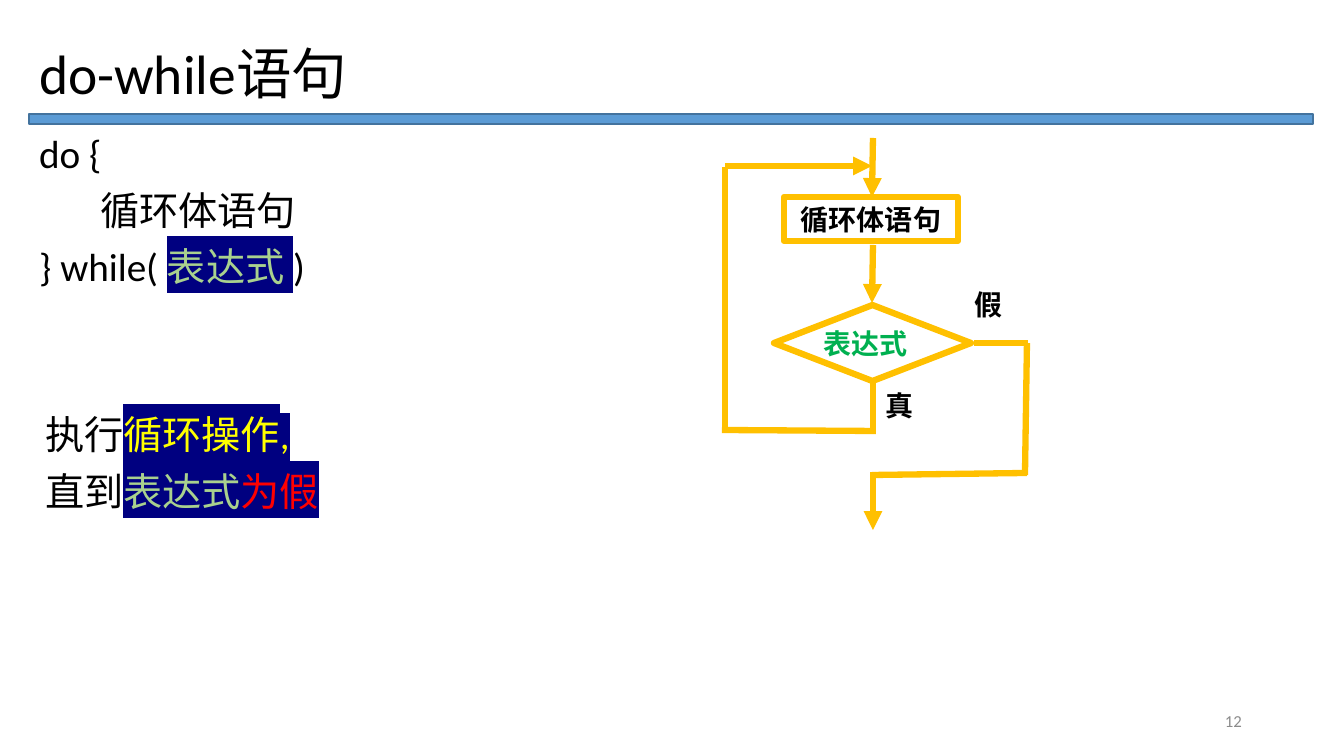
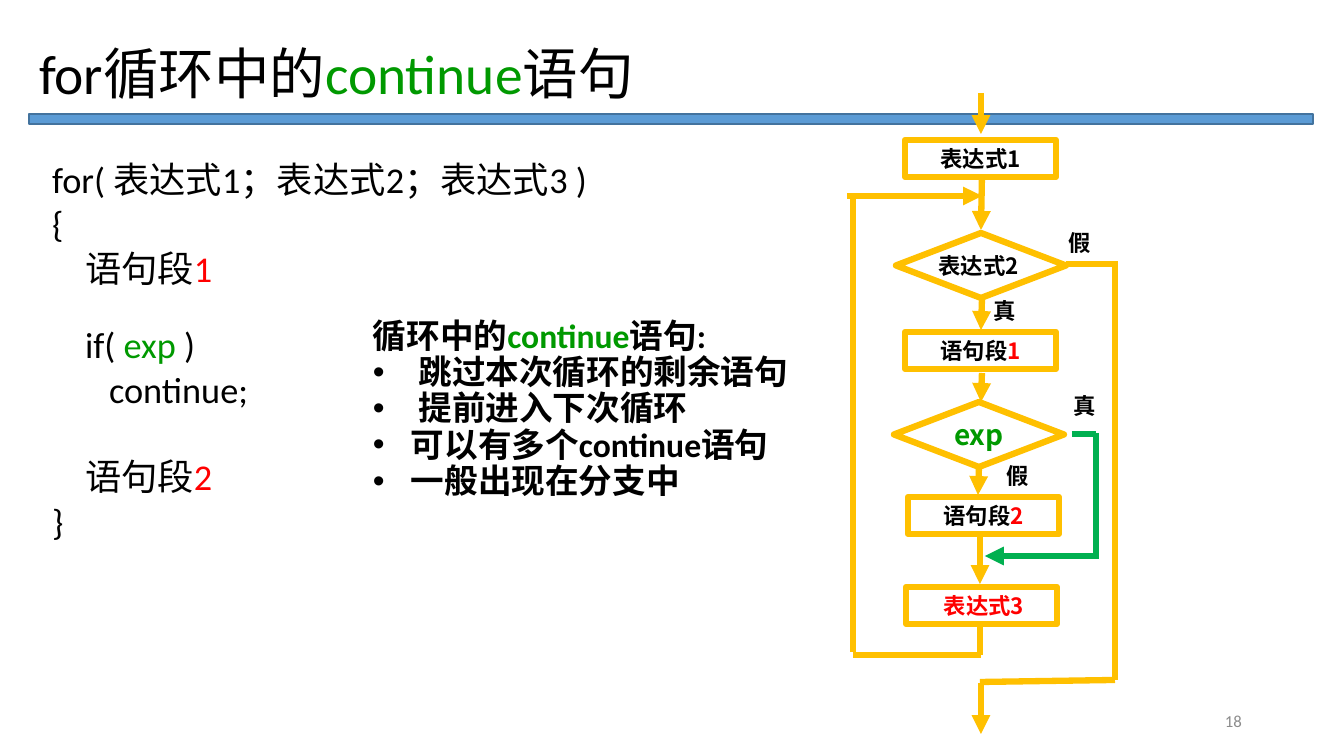
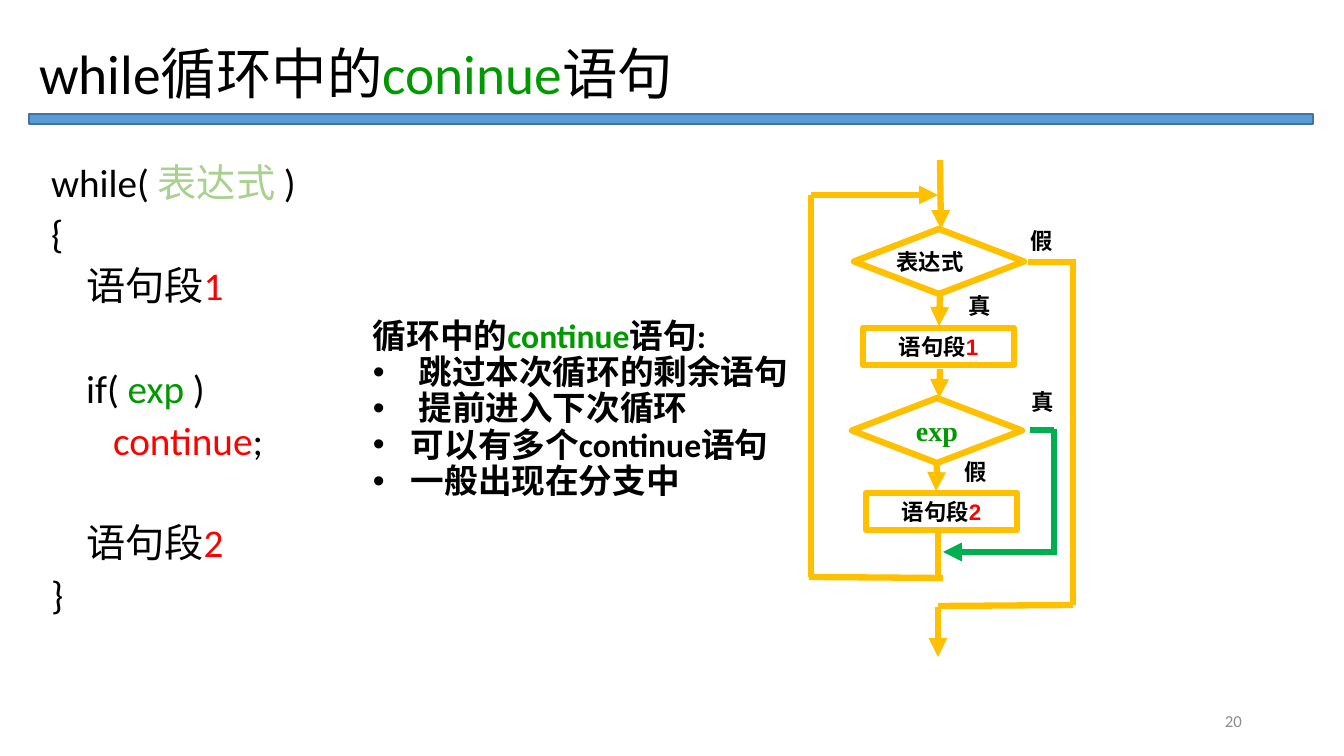
from lxml import etree
from pptx import Presentation
from pptx import util as u
from pptx.dml.color import RGBColor
from pptx.enum import shapes, text
from pptx.oxml.ns import qn

BLACK = RGBColor(0x00, 0x00, 0x00)
RED = RGBColor(0xFF, 0x00, 0x00)
YELLOW = RGBColor(0xFF, 0xFF, 0x00)
GREEN = RGBColor(0x00, 0x99, 0x00)
JADE = RGBColor(0x00, 0xB0, 0x50)
PALE = RGBColor(0xA9, 0xD1, 0x8E)
GOLD = RGBColor(0xFF, 0xC0, 0x00)
GREY = RGBColor(0x8C, 0x8C, 0x8C)
BAND = RGBColor(0x5B, 0x9B, 0xD5)
BAND_EDGE = RGBColor(0x43, 0x73, 0x9E)
NAVY = "000080"

LATIN, CJK, SERIF, SANS = "Calibri", "Noto Sans CJK SC", "Times New Roman", "Arial"
EMU_PER_PX = 914400 / 100.8
LEFT, CENTER, RIGHT = text.PP_ALIGN.LEFT, text.PP_ALIGN.CENTER, text.PP_ALIGN.RIGHT
MIDDLE, TOP = text.MSO_ANCHOR.MIDDLE, text.MSO_ANCHOR.TOP
RECT, DIAMOND = shapes.MSO_SHAPE.RECTANGLE, shapes.MSO_SHAPE.DIAMOND

TITLE_BOX = (29, 40, 1284, 74)
BAND_BOX = (29, 114, 1284, 10)
NUMBER_BOX = (950, 701, 302, 40)
NOTE_BOX = (363, 373, 490, 74)
BULLET_INDENT = 38

NOTE = [
    ["循环中的", ("continue", GREEN), "语句:"],
    [" 跳过本次循环的剩余语句"],
    [" 提前进入下次循环"],
    ["可以有多个continue语句"],
    ["一般出现在分支中"],
]

SEGMENT_1 = ["语句段", ("1", RED)]
SEGMENT_2 = ["语句段", ("2", RED)]
CONDITION = ["if( ", ("exp ", GREEN), ")"]

SLIDES = [
    {
        "number": "12",
        "title": ["do-while语句"],
        "body": {"box": (29, 130, 1284, 550), "size": 28, "spacing": 0.9},
        "lines": [
            (["do {"], 0, 10),
            (["循环体语句"], 61, 10),
            (["} while( ", ("表达式", PALE, NAVY), (" ", RED, NAVY), ")"], 0, 10),
            (["执行", ("循环操作,", YELLOW, NAVY)], 6, 90),
            (["直到", ("表达式", PALE, NAVY), ("为假", RED, NAVY)], 6, 10),
        ],
        "fonts": (SERIF, SERIF), "flow_size": 20,
        "boxes": [((784, 197, 174, 44), ["循环体语句"])],
        "diamonds": [((774, 305, 197, 76), [("表达式", JADE)])],
        "labels": [("真", 876, 384, 54, 43), ("假", 965, 283, 47, 43)],
        "lines_out": [
            (722, 430, 876, 431), (974, 343, 1028, 343), (1027, 343, 1025, 475),
            (872, 475, 1027, 473), (725, 167, 725, 431), (873, 379, 873, 431),
        ],
        "arrows": [
            (873, 138, 872, 197), (725, 166, 872, 166),
            (873, 472, 873, 530), (873, 245, 872, 303),
        ],
    },
    {
        "number": "18",
        "title": ["for循环中的", ("continue", GREEN), "语句"],
        "body": {"box": (42, 164, 907, 407), "size": 25.9, "spacing": 0.7},
        "lines": [
            (["for( 表达式1；表达式2；表达式3 )"], 0, 10),
            (["{"], 0, 10),
            (SEGMENT_1, 33, 10),
            (CONDITION, 33, 32.6),
            (["continue;"], 57, 10),
            (SEGMENT_2, 33, 41),
            (["}"], 0, 10),
        ],
        "fonts": (CJK, CJK), "flow_size": 16,
        "branch": (0, 0, "表达式2"),
        "boxes": [((905, 140, 151, 37), ["表达式1"]),
                  ((906, 587, 151, 37), [(" 表达式3", RED)])],
        "diamonds": [],
        "labels": [("真", 984, 292, 47, 37), ("假", 1059, 224, 41, 37)],
        "lines_out": [
            (853, 655, 981, 655), (1066, 264, 1113, 264), (980, 625, 980, 655),
            (1115, 261, 1115, 680), (980, 682, 1115, 680), (853, 196, 853, 652),
        ],
        "arrows": [
            (982, 177, 981, 230), (847, 196, 982, 196), (980, 533, 980, 584),
            (981, 93, 981, 134), (981, 683, 981, 734),
        ],
    },
    {
        "number": "20",
        "title": ["while循环中的", ("coninue", GREEN), "语句"],
        "body": {"box": (41, 162, 907, 495), "size": 28, "spacing": 0.8},
        "lines": [
            (["while( ", ("表达式 ", PALE), ")"], 0, 10),
            (["{"], 0, 10),
            (SEGMENT_1, 35, 10),
            (CONDITION, 35, 46.6),
            ([("continue", RED), ";"], 62, 10),
            (SEGMENT_2, 35, 46.6),
            (["}"], 0, 10),
        ],
        "fonts": (SANS, SERIF), "flow_size": 16,
        "branch": (-42, -4, "表达式"),
        "boxes": [],
        "diamonds": [],
        "labels": [("真", 959, 287, 47, 37), ("假", 1021, 222, 41, 37)],
        "lines_out": [
            (809, 577, 943, 578), (1028, 262, 1076, 262), (938, 530, 938, 579),
            (1073, 262, 1073, 605), (938, 606, 1073, 605), (811, 195, 811, 577),
        ],
        "arrows": [
            (811, 195, 938, 195), (940, 160, 941, 229), (938, 607, 938, 657),
        ],
    },
]

BRANCH_BOXES = [((905, 332, 151, 37), SEGMENT_1), ((908, 497, 151, 37), SEGMENT_2)]
BRANCH_TEST = (896, 233, 170, 65)
BRANCH_EXP = (894, 402, 170, 65)
BRANCH_LABELS = [("真", 1064, 387, 47, 37), ("假", 997, 457, 41, 37)]
BRANCH_ARROWS = [(982, 300, 981, 330), (982, 373, 981, 402), (979, 467, 978, 495)]
SKIP_LINES = [(1096, 433, 1096, 559), (1072, 434, 1096, 434)]
SKIP_ARROW = (1096, 556, 985, 556)


def px(n):
    return u.Emu(round(n * EMU_PER_PX))


def place(sp, box):
    sp.left, sp.top, sp.width, sp.height = map(px, box)


def write(p, runs, size, font=LATIN, bold=False, align=LEFT, spacing=None):
    p.alignment = align
    if spacing:
        p.line_spacing = spacing
    for run in runs:
        words, color, mark = ((run,) if isinstance(run, str) else run) + (None,) * 2 \
            if isinstance(run, str) else (run + (None,))[:3]
        r = p.add_run()
        r.text = words
        r.font.size, r.font.bold, r.font.name = u.Pt(size), bold, font
        r.font.color.rgb = color or BLACK
        rPr = r.font.color and r._r.get_or_add_rPr()
        if mark:
            highlight = etree.Element(qn("a:highlight"))
            etree.SubElement(highlight, qn("a:srgbClr"), val=mark)
            rPr.find(qn("a:solidFill")).addnext(highlight)
        ea = etree.Element(qn("a:ea"), typeface=CJK)
        rPr.find(qn("a:latin")).addnext(ea)


def indent(p, left, first=0, bullet=None):
    pPr = p._p.get_or_add_pPr()
    pPr.set("marL", str(px(left)))
    pPr.set("indent", str(px(first)))
    if bullet:
        etree.SubElement(pPr, qn("a:buFont"), typeface="Arial")
        etree.SubElement(pPr, qn("a:buChar"), char=bullet)
    else:
        etree.SubElement(pPr, qn("a:buNone"))


def frame(sp, anchor=MIDDLE, wrap=True):
    tf = sp.text_frame
    tf.auto_size = text.MSO_AUTO_SIZE.NONE
    tf.word_wrap, tf.vertical_anchor = wrap, anchor
    return tf


def add_text(s, box, runs, size, font=LATIN, bold=False, color_align=LEFT):
    tf = frame(s.shapes.add_textbox(*map(px, box)))
    write(tf.paragraphs[0], runs, size, font, bold, color_align)
    return tf


def add_node(s, kind, box, runs, size, font, align=CENTER):
    sp = s.shapes.add_shape(kind, *map(px, box))
    sp.shadow.inherit = False
    sp.fill.background()
    sp.line.color.rgb, sp.line.width = GOLD, u.Pt(4.5)
    tf = frame(sp, wrap=kind == RECT)
    if kind == DIAMOND:
        tf.margin_left = tf.margin_right = 0
    else:
        tf.margin_top = tf.margin_bottom = 0
    write(tf.paragraphs[0], runs, size, font, True, align)


def add_line(s, ends, color=GOLD, arrow=False):
    cxn = s.shapes.add_connector(shapes.MSO_CONNECTOR.STRAIGHT, *map(px, ends))
    cxn.line.color.rgb, cxn.line.width = color, u.Pt(4.5)
    spPr = cxn.element.spPr
    if arrow:
        etree.SubElement(spPr.find(qn("a:ln")), qn("a:tailEnd"), type="triangle")
    etree.SubElement(spPr, qn("a:effectLst"))


def add_labels(s, labels, size, font):
    for words, *box in labels:
        tf = add_text(s, box, [words], size, font, True)
        tf.margin_top = tf.margin_bottom = 0


def add_branch(s, dx, dy, test, fonts, size):
    def shift(box):
        return (box[0] + dx, box[1] + dy) + box[2:]

    def shift_ends(ends):
        return tuple(n + d for n, d in zip(ends, (dx, dy, dx, dy)))

    box_font, font = fonts
    add_node(s, DIAMOND, shift(BRANCH_TEST), [test], size, font, LEFT)
    add_node(s, DIAMOND, shift(BRANCH_EXP), [("exp", GREEN)], 20, font)
    for box, runs in BRANCH_BOXES:
        add_node(s, RECT, shift(box), runs, size, box_font)
    for ends in BRANCH_ARROWS:
        add_line(s, shift_ends(ends), arrow=True)
    for ends in SKIP_LINES:
        add_line(s, shift_ends(ends), JADE)
    add_line(s, shift_ends(SKIP_ARROW), JADE, True)
    add_labels(s, [(w, x + dx, y + dy, *wh) for w, x, y, *wh in BRANCH_LABELS], size, font)


def add_note(s):
    tf = frame(s.shapes.add_textbox(*map(px, NOTE_BOX)))
    for i, runs in enumerate(NOTE):
        p = tf.add_paragraph() if i else tf.paragraphs[0]
        write(p, runs, 24, bold=True, spacing=0.9)
        if i:
            indent(p, BULLET_INDENT, -BULLET_INDENT, "•")


def add_band(s, layout):
    band = s.shapes.add_shape(RECT, *map(px, BAND_BOX))
    band.shadow.inherit = False
    band.fill.solid()
    band.fill.fore_color.rgb = BAND
    band.line.color.rgb, band.line.width = BAND_EDGE, u.Pt(1)
    layout.element.cSld.spTree.insert(2, band.element)


prs = Presentation()
prs.slide_width, prs.slide_height = px(1344), px(756)
layout = prs.slide_layouts[1]
place(layout.placeholders[0], TITLE_BOX)

for i, page in enumerate(SLIDES):
    s = prs.slides.add_slide(layout)
    if i == 0:
        add_band(s, layout)
    title, body = s.placeholders
    write(frame(title).paragraphs[0], page["title"], 39.6, spacing=0.9)

    place(body, page["body"]["box"])
    tf = frame(body, TOP)
    for n, (runs, left, before) in enumerate(page["lines"]):
        p = tf.add_paragraph() if n else tf.paragraphs[0]
        write(p, runs, page["body"]["size"], spacing=page["body"]["spacing"])
        p.space_before = u.Pt(before)
        indent(p, left)

    add_text(s, NUMBER_BOX, [(page["number"], GREY)], 12, color_align=RIGHT)

    size, (box_font, font) = page["flow_size"], page["fonts"]
    for ends in page["lines_out"]:
        add_line(s, ends)
    for ends in page["arrows"]:
        add_line(s, ends, arrow=True)
    for box, runs in page["boxes"]:
        add_node(s, RECT, box, runs, size, box_font)
    for box, runs in page["diamonds"]:
        add_node(s, DIAMOND, box, runs, size, font, LEFT)
    add_labels(s, page["labels"], size, font)
    if "branch" in page:
        add_branch(s, *page["branch"], page["fonts"], size)
        add_note(s)

prs.save("out.pptx")
